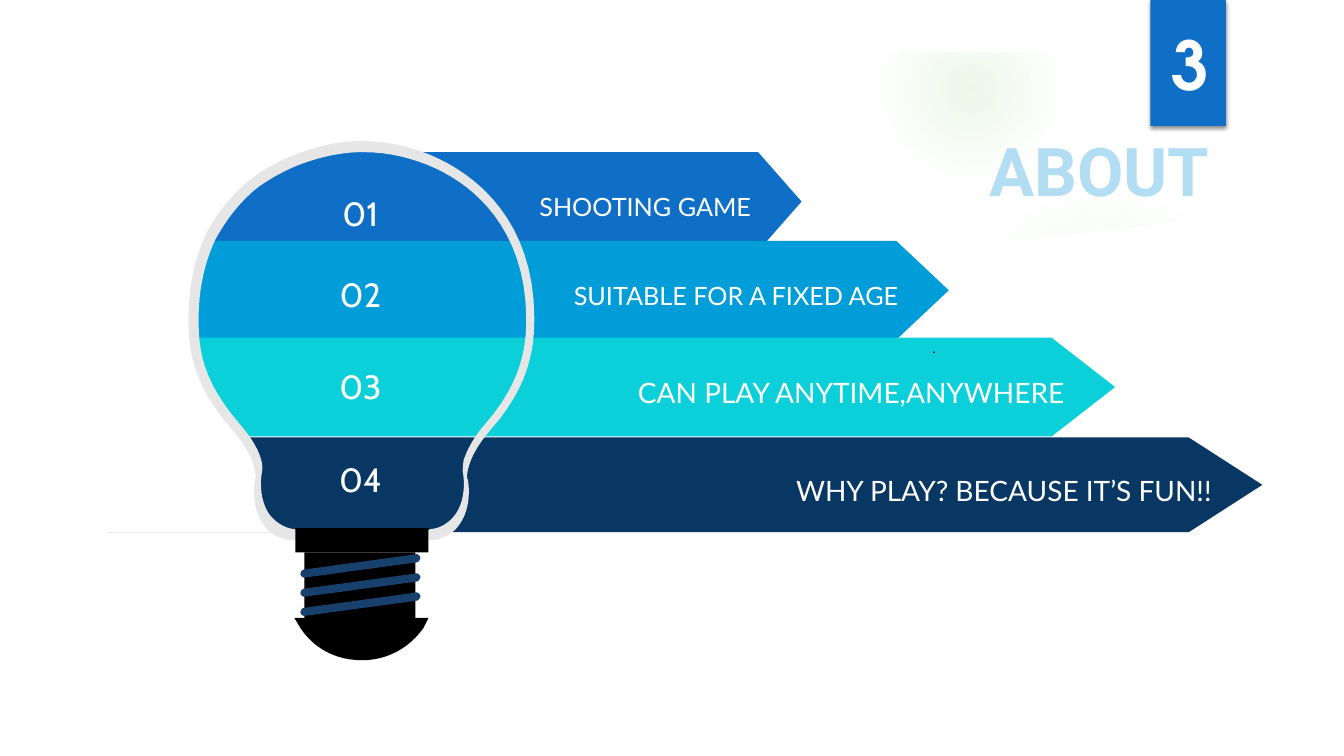
from dataclasses import dataclass

from lxml.etree import SubElement
from pptx import Presentation
from pptx.dml.color import RGBColor
from pptx.enum.shapes import MSO_SHAPE as SHAPE
from pptx.enum.text import MSO_ANCHOR as ANCHOR, MSO_AUTO_SIZE as AUTO, PP_ALIGN as ALIGN
from pptx.oxml import parse_xml
from pptx.oxml.ns import nsdecls, qn
from pptx.util import Inches, Pt

WHITE = RGBColor(0xFF, 0xFF, 0xFF)
BLACK = RGBColor(0, 0, 0)
BLUE = RGBColor(0x0F, 0x6F, 0xC6)
SKY = RGBColor(0x00, 0x9D, 0xD9)
TURQUOISE = RGBColor(0x0B, 0xD0, 0xD9)
NAVY = RGBColor(0x08, 0x37, 0x63)
THREAD = RGBColor(0x17, 0x40, 0x6D)
GLASS = RGBColor(0xE6, 0xE6, 0xE6)
GREEN = RGBColor(0x7C, 0xCA, 0x62)
PALE_BLUE = RGBColor(0xB3, 0xDD, 0xF2)
CURVE_STEPS = 12

Outline = list[tuple[float, ...]]


@dataclass
class Band:
    text: str
    left: float
    top: float
    shoulder: float
    tip: float
    height: float
    color: RGBColor
    size: int
    number_top: float


@dataclass
class Glow:
    left: float
    top: float
    size: float
    stops: list[tuple[int, int]]


BANDS = [
    Band("SHOOTING GAME", 1.17, 1.51, 7.52, 7.95, 0.98, BLUE, 18, 1.91),
    Band("SUITABLE FOR A FIXED AGE", 1.19, 2.39, 8.89, 9.41, 0.98, SKY, 18, 2.71),
    Band("CAN PLAY ANYTIME,ANYWHERE", 1.12, 3.35, 10.43, 11.06, 0.98, TURQUOISE, 20, 3.63),
    Band("WHY PLAY? BECAUSE IT’S FUN!!", 1.07, 4.34, 11.79, 12.52, 0.94, NAVY, 20, 4.55),
]
GLOWS = [
    Glow(9.41, 1.83, 3.08, [(0, 7), (36, 6), (69, 0)]),
    Glow(8.75, 0.01, 1.75, [(0, 14), (36, 7), (73, 0)]),
]

PANEL: Outline = [
    (0.5, 2.04), (2.49, 2.27), (4.44, 2.41), (6.82, 2.48), (8.67, 2.45), (9.76, 2.39),
    (10.88, 2.3), (12, 2.17), (12.84, 2.04), (12.84, 7), (0.5, 7),
]
BULB_MASK: Outline = [
    (0, 1.43), (3.76, 1.43),
    (3.46, 1.48, 3.31, 1.46, 2.86, 1.58),
    (2.44, 1.88, 2.03, 2.09, 1.93, 3.05),
    (1.9, 3.65, 2.08, 3.92, 2.52, 4.53),
    (2.59, 4.8, 2.47, 5.27, 2.89, 5.28),
    (0, 5.28),
]
GLASS_INNER: Outline = [
    (3.59, 1.51),
    (3.43, 1.51, 3.26, 1.54, 3.1, 1.59),
    (2.9, 1.65, 2.73, 1.74, 2.57, 1.85),
    (2.39, 1.99, 2.25, 2.17, 2.14, 2.37),
    (2.03, 2.6, 1.97, 2.87, 1.97, 3.17),
    (1.97, 3.46, 2, 3.77, 2.38, 4.21),
    (2.51, 4.36, 2.57, 4.48, 2.59, 4.56),
    (2.61, 4.62, 2.6, 4.67, 2.6, 4.68),
    (2.59, 4.72, 2.56, 4.94, 2.67, 5.1),
    (2.73, 5.18, 2.82, 5.24, 2.92, 5.25),
    (2.95, 5.26), (4.25, 5.26), (4.27, 5.25),
    (4.38, 5.24, 4.46, 5.18, 4.52, 5.1),
    (4.63, 4.94, 4.6, 4.72, 4.59, 4.68),
    (4.59, 4.66, 4.59, 4.62, 4.6, 4.56),
    (4.63, 4.48, 4.68, 4.36, 4.81, 4.21),
    (5.17, 3.8, 5.22, 3.45, 5.22, 3.17),
    (5.22, 2.47, 4.9, 2.07, 4.63, 1.86),
    (4.35, 1.64, 3.97, 1.51, 3.61, 1.51),
]
GLASS_OUTER: Outline = [
    (3.58, 1.4), (3.6, 1.4),
    (3.98, 1.4, 4.38, 1.54, 4.68, 1.78),
    (4.96, 2, 5.3, 2.42, 5.3, 3.16),
    (5.3, 3.46, 5.25, 3.83, 4.87, 4.26),
    (4.73, 4.42, 4.67, 4.55, 4.65, 4.63),
    (4.63, 4.7, 4.63, 4.74, 4.64, 4.76),
    (4.65, 4.8, 4.68, 5.03, 4.56, 5.2),
    (4.5, 5.29, 4.41, 5.34, 4.3, 5.36),
    (2.87, 5.36),
    (2.76, 5.34, 2.67, 5.29, 2.61, 5.2),
    (2.49, 5.03, 2.52, 4.8, 2.53, 4.76),
    (2.54, 4.74, 2.54, 4.7, 2.52, 4.63),
    (2.5, 4.55, 2.44, 4.42, 2.3, 4.26),
    (1.9, 3.8, 1.87, 3.46, 1.87, 3.16),
    (1.87, 2.84, 1.93, 2.56, 2.05, 2.31),
    (2.16, 2.1, 2.31, 1.92, 2.5, 1.77),
    (2.66, 1.65, 2.85, 1.55, 3.06, 1.49),
    (3.23, 1.43, 3.41, 1.4, 3.58, 1.4),
]
SCREW_TIP: Outline = [
    (2.92, 6.13), (4.25, 6.13), (4.2, 6.23),
    (4.06, 6.43, 3.84, 6.55, 3.59, 6.55),
    (3.33, 6.55, 3.11, 6.43, 2.98, 6.23),
]


def thread_outline(top: float) -> Outline:
    return [
        (3.02, top + 0.24),
        (3, top + 0.24, 2.99, top + 0.23, 2.98, top + 0.21),
        (2.98, top + 0.18, 3, top + 0.16, 3.02, top + 0.16),
        (4.12, top + 0.01),
        (4.14, top, 4.16, top + 0.02, 4.17, top + 0.04),
        (4.17, top + 0.06, 4.15, top + 0.09, 4.13, top + 0.09),
    ]


def flatten(outline: Outline) -> list[tuple[int, int]]:
    points = [outline[0]]
    for step in outline[1:]:
        if len(step) == 2:
            points.append(step)
            continue
        controls = [points[-1], step[:2], step[2:4], step[4:]]
        for i in range(1, CURVE_STEPS + 1):
            t = i / CURVE_STEPS
            weights = ((1 - t) ** 3, 3 * t * (1 - t) ** 2, 3 * t * t * (1 - t), t ** 3)
            points.append(tuple(sum(w * c[axis] for w, c in zip(weights, controls)) for axis in (0, 1)))
    return [(Inches(x), Inches(y)) for x, y in points]


def paint(sp, color: RGBColor):
    sp.shadow.inherit = False
    sp.fill.solid()
    sp.fill.fore_color.rgb = color
    sp.line.fill.background()
    return sp


def add_outline(shapes, color: RGBColor, *outlines: Outline):
    first, *others = [flatten(outline) for outline in outlines]
    builder = shapes.build_freeform(*first[0])
    builder.add_line_segments(first[1:], close=True)
    for points in others:
        builder.move_to(*points[0])
        builder.add_line_segments(points[1:], close=True)
    return paint(builder.convert_to_shape(), color)


def add_preset(shapes, kind, left: float, top: float, width: float, height: float, color: RGBColor):
    return paint(shapes.add_shape(kind, Inches(left), Inches(top), Inches(width), Inches(height)), color)


def add_glow(shapes, glow: Glow) -> None:
    sp = add_preset(shapes, SHAPE.OVAL, glow.left, glow.top, glow.size, glow.size, GREEN)
    stops = "".join(
        f'<a:gs pos="{pos * 1000}"><a:srgbClr val="{GREEN}"><a:alpha val="{alpha * 1000}"/></a:srgbClr></a:gs>'
        for pos, alpha in glow.stops)
    gradient = parse_xml(
        f'<a:gradFill {nsdecls("a")} rotWithShape="1"><a:gsLst>{stops}</a:gsLst><a:path path="circle">'
        '<a:fillToRect l="50000" t="50000" r="50000" b="50000"/></a:path></a:gradFill>')
    solid = sp._element.spPr.find(qn("a:solidFill"))
    solid.getparent().replace(solid, gradient)


def set_text(sp, text: str, font: str, size: int, color: RGBColor, align=ALIGN.LEFT, bold: bool = False):
    tf = sp.text_frame
    tf.text = text
    p = tf.paragraphs[0]
    p.alignment = align
    f = p.runs[0].font
    f.name, f.size, f.bold, f.color.rgb = font, Pt(size), bold, color
    return tf


def add_label(shapes, text: str, left: float, top: float, width: float, height: float,
              font: str, size: int, color: RGBColor, **style):
    sp = shapes.add_textbox(Inches(left), Inches(top), Inches(width), Inches(height))
    tf = set_text(sp, text, font, size, color, **style)
    tf.word_wrap = True
    return tf


def add_band(shapes, band: Band) -> None:
    bottom = band.top + band.height
    sp = add_outline(shapes, band.color, [
        (band.left, band.top), (band.shoulder, band.top), (band.tip, band.top + band.height / 2),
        (band.shoulder, bottom), (band.left, bottom)])
    tf = set_text(sp, band.text, "Lato", band.size, WHITE, ALIGN.RIGHT)
    tf.vertical_anchor = ANCHOR.MIDDLE
    tf.margin_left = tf.margin_top = Inches(0.1)
    tf.margin_right, tf.margin_bottom = Inches(0.5), 0


def add_badge(shapes) -> None:
    sp = add_preset(shapes, SHAPE.RECTANGLE, 11.41, 0, 0.75, 1.25, BLUE)
    effects = sp._element.spPr.find(qn("a:effectLst"))
    shadow = SubElement(effects, qn("a:outerShdw"), blurRad=str(Pt(3)), dist=str(Pt(2)), dir="5400000")
    color = SubElement(shadow, qn("a:srgbClr"), val=str(BLACK))
    SubElement(color, qn("a:alpha"), val="45000")


def main() -> None:
    prs = Presentation()
    prs.slide_width, prs.slide_height = Inches(13.33), Inches(7.5)
    shapes = prs.slides.add_slide(prs.slide_layouts[5]).shapes
    for glow in GLOWS:
        add_glow(shapes, glow)
    add_outline(shapes, WHITE, PANEL)
    add_preset(shapes, SHAPE.RECTANGLE, 0, 0, 13.33, 0.52, WHITE)
    add_badge(shapes)
    for band in BANDS:
        add_band(shapes, band)
    add_outline(shapes, WHITE, BULB_MASK)
    add_outline(shapes, GLASS, GLASS_INNER, GLASS_OUTER)
    add_preset(shapes, SHAPE.RECTANGLE, 2.93, 5.24, 1.32, 0.24, BLACK)
    add_preset(shapes, SHAPE.RECTANGLE, 3.02, 5.48, 1.1, 0.66, BLACK)
    for i in range(3):
        add_outline(shapes, THREAD, thread_outline(5.49 + 0.19 * i))
    add_outline(shapes, BLACK, SCREW_TIP)
    for number, band in enumerate(BANDS, 1):
        tf = add_label(shapes, f"{number:02}", 2.33, band.number_top, 2.49, 0.46, "Cabin", 24, WHITE, align=ALIGN.CENTER)
        tf.margin_left = tf.margin_right = Inches(0.13)
        tf.paragraphs[0].line_spacing = 0.9
    add_label(shapes, ".", 9.15, 3.29, 3.1, 0.48, "Cabin", 12, BLACK)
    title = shapes.title
    title.left, title.top, title.width, title.height = Inches(9.71), Inches(1.23), Inches(2.4), Inches(0.91)
    tf = set_text(title, "ABOUT", "Roboto", 48, PALE_BLUE, bold=True)
    tf.word_wrap, tf.auto_size, tf.vertical_anchor = False, AUTO.NONE, ANCHOR.TOP
    title._element.getparent().append(title._element)
    add_label(shapes, "3", 11.52, 0.18, 0.44, 0.91, "TeX Gyre Adventor", 48, WHITE, bold=True)
    prs.save("out.pptx")


if __name__ == "__main__":
    main()
